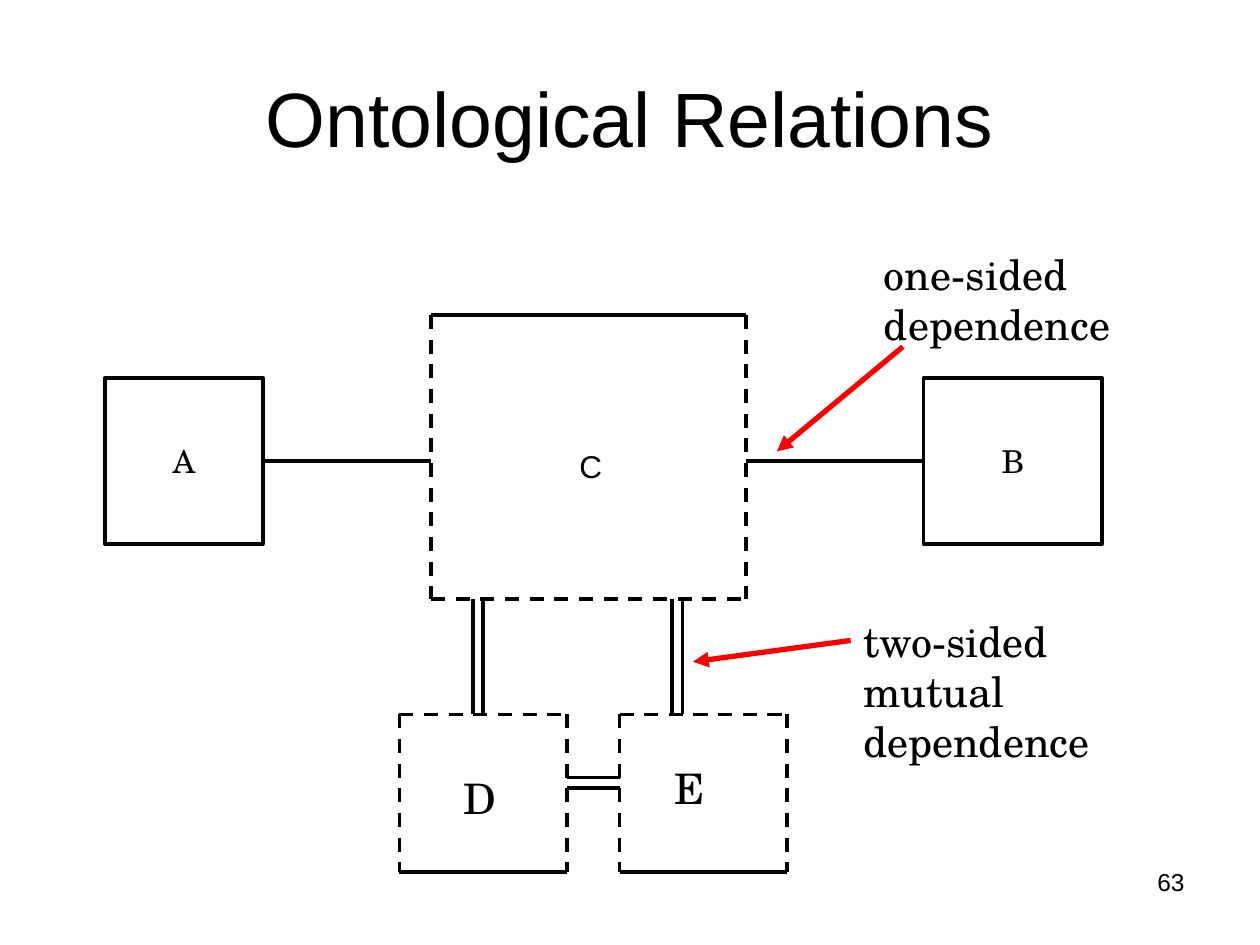
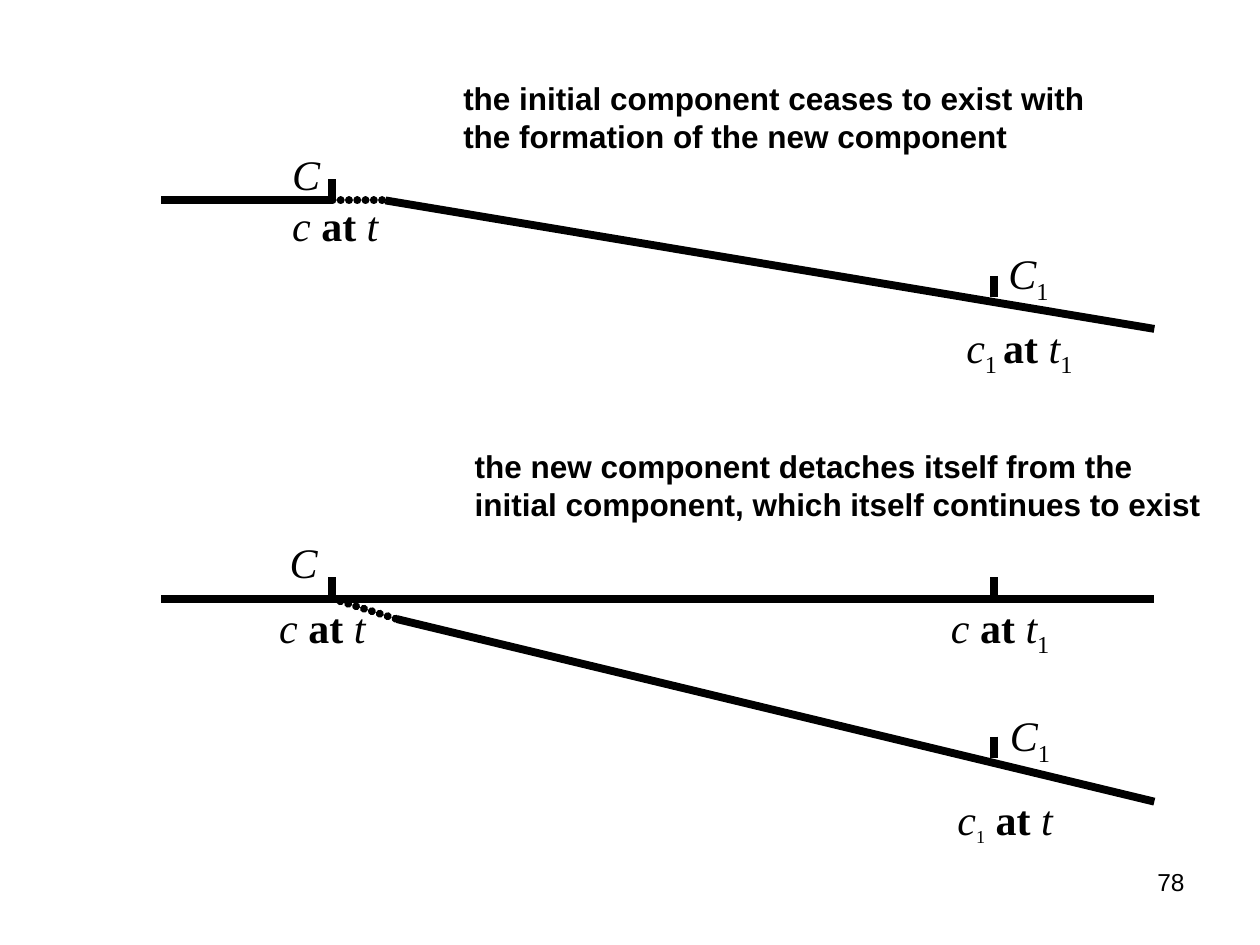
from dataclasses import dataclass

from lxml.etree import SubElement
from pptx import Presentation
from pptx.dml.color import RGBColor
from pptx.enum.dml import MSO_LINE
from pptx.enum.shapes import MSO_CONNECTOR, MSO_SHAPE
from pptx.enum.text import MSO_ANCHOR, PP_ALIGN
from pptx.oxml.ns import qn
from pptx.util import Cm, Pt


@dataclass(frozen=True)
class Theme:
    """Colours, fonts, type sizes and line weights shared by the slides."""
    ink: RGBColor = RGBColor(0, 0, 0)
    paper: RGBColor = RGBColor(255, 255, 255)
    accent: RGBColor = RGBColor(255, 0, 0)
    sans: str = "Arial"
    serif: str = "TeX Gyre Schola"
    formula: str = "Times New Roman"
    title: int = 44
    large: int = 24
    medium: int = 18
    number: int = 14
    thin: float = 2
    pointer: float = 3
    thick: float = 4.5


@dataclass(frozen=True)
class Box:
    """A region in centimetres."""
    left: float
    top: float
    width: float
    height: float

    @property
    def right(self):
        """Return the right edge."""
        return self.left + self.width

    @property
    def bottom(self):
        """Return the bottom edge."""
        return self.top + self.height

    @property
    def lengths(self):
        """Return the four measures as lengths."""
        return [Cm(v) for v in (self.left, self.top, self.width, self.height)]

    def inner(self, dx, dy, width, height):
        """Return a box placed relative to this one."""
        return Box(self.left + dx, self.top + dy, width, height)


THEME = Theme()
PAGE = Box(0, 0, 25.4, 19.05)
BOND_GAP = 0.21
TIME_T, TIME_T1, TICK = 3.45, 16.79, 0.43


def add_run(paragraph, text, size, font, bold=False, italic=False, sub=False):
    """Append one formatted run to a paragraph."""
    run = paragraph.add_run()
    run.text = text
    run.font.size, run.font.name = Pt(size), font
    run.font.bold, run.font.italic = bold, italic
    run.font.color.rgb = THEME.ink
    if sub:
        run.font._element.set("baseline", "-25000")


def text_frame(slide, box, inset=(0.25, 0.13)):
    """Add a wrapping text box and return its frame."""
    frame = slide.shapes.add_textbox(*box.lengths).text_frame
    frame.word_wrap = True
    frame.margin_left = frame.margin_right = Cm(inset[0])
    frame.margin_top = frame.margin_bottom = Cm(inset[1])
    return frame


def add_label(slide, box, text, size, font, bold=False, align=PP_ALIGN.LEFT):
    """Add a text box holding a single run."""
    paragraph = text_frame(slide, box).paragraphs[0]
    paragraph.alignment = align
    add_run(paragraph, text, size, font, bold)


def add_line(slide, start, end, weight=THEME.thin, color=THEME.ink,
             dashed=False, dotted=False, arrow=False):
    """Draw a straight connector between two points."""
    line = slide.shapes.add_connector(
        MSO_CONNECTOR.STRAIGHT, *[Cm(v) for v in (*start, *end)])
    line.line.width = Pt(weight)
    line.line.color.rgb = color
    if dashed:
        line.line.dash_style = MSO_LINE.DASH
    properties = line._element.spPr
    outline = properties.find(qn("a:ln"))
    if dotted:
        outline.set("cap", "rnd")
        dots = SubElement(outline, qn("a:custDash"))
        SubElement(dots, qn("a:ds"), d="100000", sp="5000")
    if arrow:
        SubElement(outline, qn("a:tailEnd"), type="triangle")
    SubElement(properties, qn("a:effectLst"))
    return line


def add_page_number(slide, number):
    """Place the page number at the lower right."""
    add_label(slide, PAGE.inner(18.21, 17.35, 5.92, 1.32), number,
              THEME.number, THEME.sans, align=PP_ALIGN.RIGHT)


def independent_part(slide, box, letter):
    """Draw a closed part with its letter in the centre."""
    part = slide.shapes.add_shape(MSO_SHAPE.RECTANGLE, *box.lengths)
    part.shadow.inherit = False
    part.fill.background()
    part.line.color.rgb = THEME.ink
    part.line.width = Pt(THEME.thin)
    part.text_frame.vertical_anchor = MSO_ANCHOR.MIDDLE
    paragraph = part.text_frame.paragraphs[0]
    paragraph.alignment = PP_ALIGN.CENTER
    add_run(paragraph, letter, THEME.medium, THEME.serif)
    return part


def dependent_part(slide, box, solid_side, letter, offset, size, font):
    """Draw a part whose sides are dashed except for one."""
    corners = {
        "top": ((box.left, box.top), (box.right, box.top)),
        "bottom": ((box.left, box.bottom), (box.right, box.bottom)),
        "left": ((box.left, box.top), (box.left, box.bottom)),
        "right": ((box.right, box.top), (box.right, box.bottom)),
    }
    for side, (start, end) in corners.items():
        add_line(slide, start, end, dashed=side != solid_side)
    add_label(slide, box.inner(*offset, 1.27, 1.27), letter, size, font)


def mutual_bond(slide, start, end):
    """Draw the double line of a two-sided dependence."""
    upright = start[0] == end[0]
    for shift in (0, BOND_GAP):
        dx, dy = (shift, 0) if upright else (0, shift)
        add_line(slide, (start[0] + dx, start[1] + dy),
                 (end[0] + dx, end[1] + dy))


def callout(slide, box, text, start, end):
    """Add an explanation with a red arrow, both relative to its box."""
    add_label(slide, box, text, THEME.large, THEME.serif)
    tail, tip = [(box.left + x, box.top + y) for x, y in (start, end)]
    add_line(slide, tail, tip, THEME.pointer, THEME.accent, arrow=True)


def relations_diagram(slide, region):
    """Draw the parts A to E and the dependences between them."""
    whole = region.inner(6.57, 1.47, 6.35, 5.72)
    lower_left = region.inner(5.93, 9.52, 3.38, 3.18)
    lower_right = region.inner(10.37, 9.52, 3.38, 3.18)
    dependent_part(slide, whole, "top", "C", (2.74, 2.54),
                   THEME.medium, THEME.sans)
    dependent_part(slide, lower_left, "bottom", "D", (1.05, 1.05),
                   THEME.large, THEME.serif)
    dependent_part(slide, lower_right, "bottom", "E", (0.85, 0.85),
                   THEME.large, THEME.serif)

    part_a = independent_part(slide, region.inner(0, 2.74, 3.18, 3.35), "A")
    part_b = independent_part(slide, region.inner(16.5, 2.74, 3.6, 3.35), "B")
    middle = region.top + 2.74 + 3.35 / 2
    for part, site, edge in ((part_a, 3, whole.left), (part_b, 1, whole.right)):
        link = add_line(slide, (edge, middle), (edge, middle))
        link.begin_connect(part, site)

    for x in (whole.left + 0.84, whole.left + 4.86):
        mutual_bond(slide, (x, whole.bottom), (x, lower_left.top))
    bond_y = lower_left.top + 1.27
    mutual_bond(slide, (lower_left.right, bond_y), (lower_right.left, bond_y))

    callout(slide, region.inner(15.45, 0, 5.92, 2.29), "one-sided dependence",
            (0.63, 2.11), (-1.91, 4.22))
    callout(slide, region.inner(15.03, 7.39, 5.92, 3.3),
            "two-sided mutual dependence", (0, 0.64), (-3.18, 1.07))


def relations_slide(deck):
    """Build the slide on ontological relations."""
    slide = deck.slides.add_slide(deck.slide_layouts[5])
    title = slide.shapes.title
    title.left, title.top, title.width, title.height = Box(
        1.27, 0.76, 22.86, 3.18).lengths
    title.text_frame.vertical_anchor = MSO_ANCHOR.MIDDLE
    heading = title.text_frame.paragraphs[0]
    heading.alignment = PP_ALIGN.CENTER
    add_run(heading, "Ontological Relations", THEME.title, THEME.sans)
    relations_diagram(slide, Box(2.12, 4.88, 21.37, 12.7))
    add_page_number(slide, "63")


def add_formula(slide, box, rows, indent=0, gap=0):
    """Write rows of variables, words and subscripts, indenting the first."""
    styles = {"var": {"italic": True}, "word": {"bold": True},
              "sub": {"sub": True}, "small": {"sub": True}}
    frame = text_frame(slide, box, (0.2, 0.1))
    for index, row in enumerate(rows):
        paragraph = frame.add_paragraph() if index else frame.paragraphs[0]
        if index == 0 and len(rows) > 1:
            paragraph._p.get_or_add_pPr().set("marL", str(Cm(indent)))
            paragraph.space_after = Pt(gap)
        for kind, text in row:
            size = THEME.medium if kind == "small" else THEME.large
            add_run(paragraph, text, size, THEME.formula, **styles[kind])


def formation(slide, region, detach, persists):
    """Draw a component's time line and the branch that forms from it."""
    def stroke(start, end, dotted=False):
        """Draw a thick line relative to the region."""
        ends = [(region.left + x, region.top + y) for x, y in (start, end)]
        add_line(slide, *ends, THEME.thick, dotted=dotted)

    stroke((0, 0), (region.width if persists else TIME_T, 0))
    stroke((TIME_T, 0), detach, dotted=True)
    stroke(detach, (region.width, region.height))
    slope = (region.height - detach[1]) / (region.width - detach[0])
    branch_y = detach[1] + slope * (TIME_T1 - detach[0]) - 0.1
    ticks = [(TIME_T, 0), (TIME_T1, branch_y)]
    if persists:
        ticks.append((TIME_T1, 0))
    for x, y in ticks:
        stroke((x, y - TICK), (x, y))


def formation_slide(deck):
    """Build the slide on the two ways a new component forms."""
    slide = deck.slides.add_slide(deck.slide_layouts[6])
    ceasing = Box(3.25, 4.04, 20.02, 2.59)
    lasting = Box(3.25, 12.07, 20.02, 4.09)
    formation(slide, ceasing, (4.52, 0), False)
    formation(slide, lasting, (4.75, 0.41), True)

    captions = (
        (ceasing.inner(5.84, -2.57, 13.97, 1.78),
         "the initial component ceases to exist with "
         "the formation of the new component"),
        (lasting.inner(6.07, -3.18, 15.44, 2.62),
         "the new component detaches itself from the "
         "initial component, which itself continues to exist"),
    )
    for box, text in captions:
        add_label(slide, box, text, THEME.medium, THEME.sans, bold=True)

    initial = [("var", "C")]
    new = [("var", "C"), ("sub", "1")]
    c_at_t = [("var", "c "), ("word", "at "), ("var", "t")]
    c_at_t1 = [*c_at_t, ("sub", "1")]
    c1_at_t1 = [("var", "c"), ("sub", "1 "), *c_at_t1[1:]]
    c1_at_t = [("var", "c"), ("small", "1"), ("var", " "), *c_at_t[1:]]
    add_formula(slide, ceasing.inner(2.44, -1.14, 3, 2.84), [initial, c_at_t])
    add_formula(slide, ceasing.inner(16.03, 0.86, 3.86, 2.84),
                [new, c1_at_t1], indent=0.85, gap=9)
    add_formula(slide, lasting.inner(2.18, -1.35, 2.7, 2.84),
                [initial, c_at_t], indent=0.21, gap=8)
    add_formula(slide, lasting.inner(15.72, -0.05, 3.05, 1.3), [c_at_t1])
    add_formula(slide, lasting.inner(15.85, 2.14, 4.24, 3.02),
                [new, c1_at_t], indent=1.06, gap=15)
    add_page_number(slide, "78")


def main():
    """Build and save the presentation."""
    deck = Presentation()
    deck.slide_width, deck.slide_height = Cm(PAGE.width), Cm(PAGE.height)
    background = deck.slide_master.background.fill
    background.solid()
    background.fore_color.rgb = THEME.paper
    relations_slide(deck)
    formation_slide(deck)
    deck.save("out.pptx")


if __name__ == "__main__":
    main()
